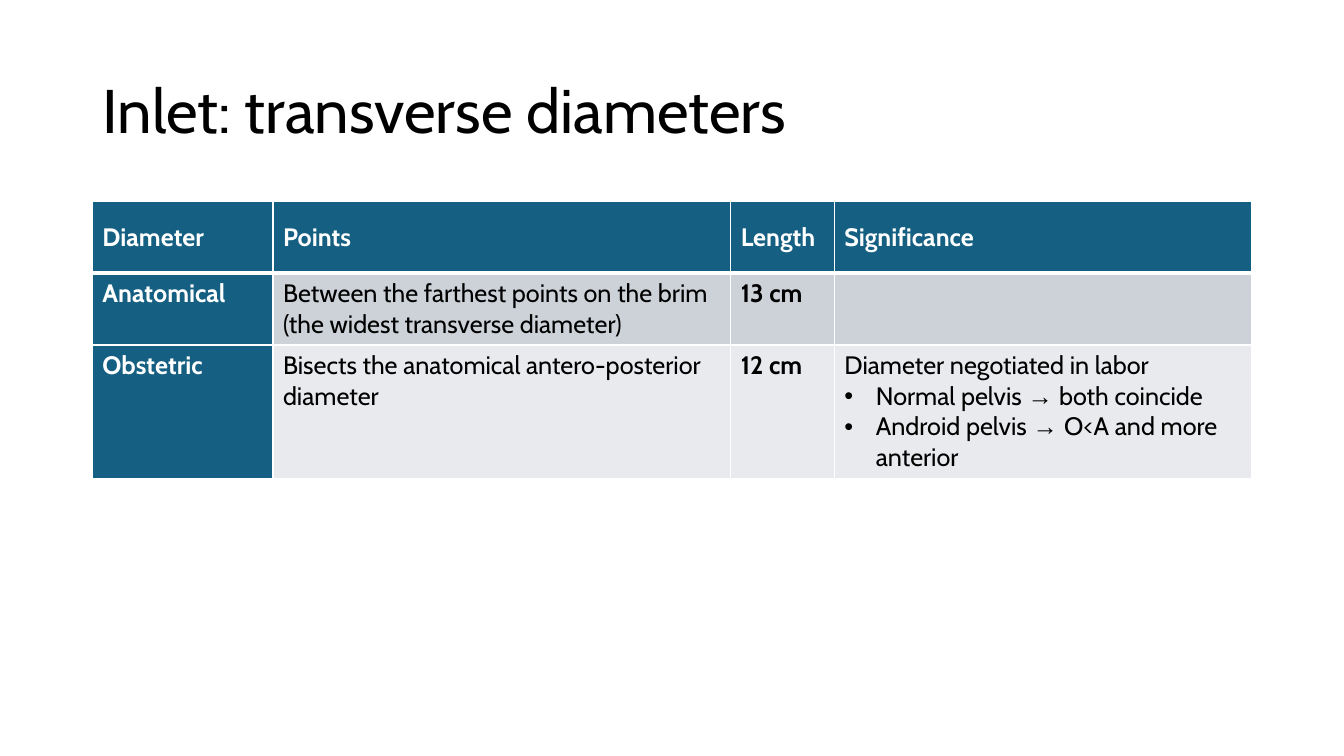
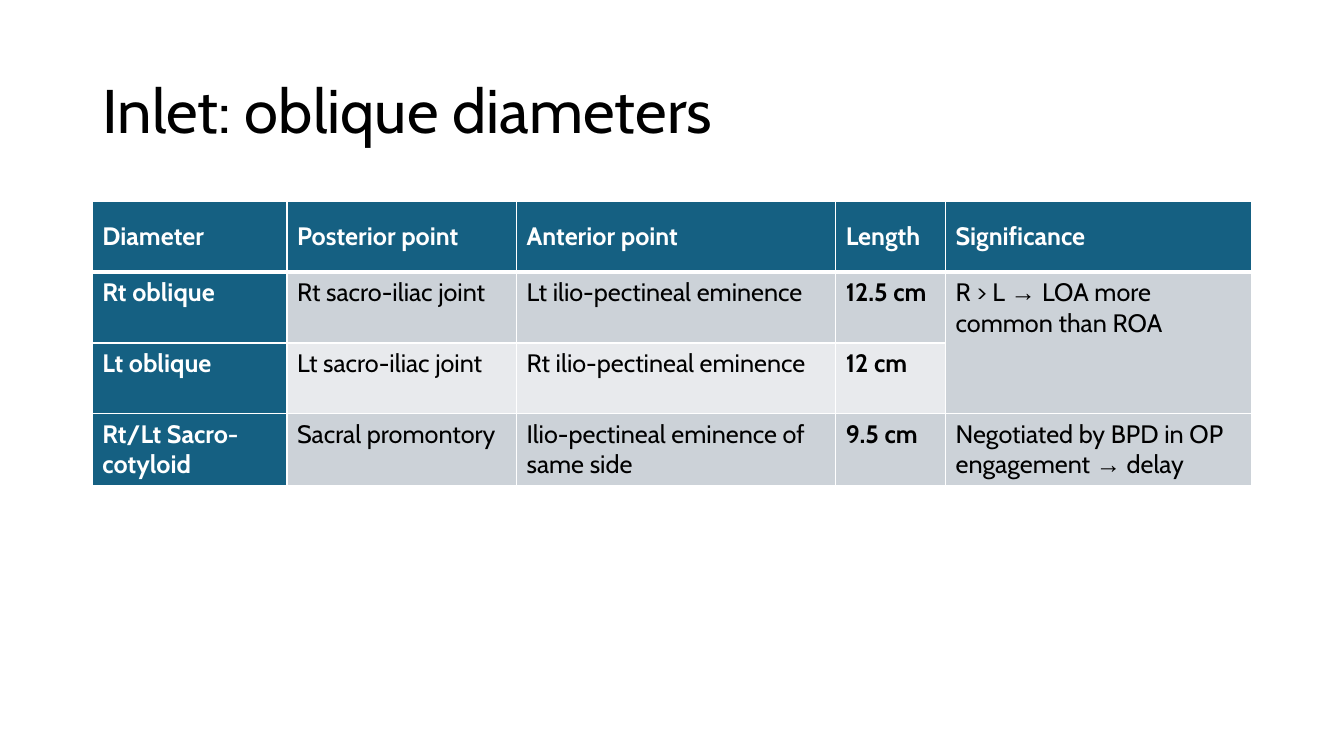
from pptx import Presentation
from pptx.dml.color import RGBColor
from pptx.enum.text import MSO_ANCHOR, PP_ALIGN
from pptx.oxml import parse_xml
from pptx.oxml.ns import nsdecls
from pptx.util import Pt

HUES = {"head": "156082", "dark": "CCD2D8", "light": "E8EAED",
        "white": "FFFFFF", "black": "000000"}
FONT, ARROW_FONT = "Cabin", "Times New Roman"
LEFT, WIDTH, TOP = 66, 828, 144
BULLET = "• "

# A cell is a list of paragraphs, and a paragraph is a list of runs.
SLIDES = [
    {
        "title": "Inlet: transverse diameters",
        "cols": [129, 327, 74, 298],
        "rows": [51, 51.5, 95],
        "cells": [
            ["Diameter", "Points", "Length", "Significance"],
            ["Anatomical",
             "Between the farthest points on the brim (the widest transverse diameter)",
             "13 cm", ""],
            ["Obstetric", "Bisects the anatomical antero-posterior diameter", "12 cm",
             [["Diameter negotiated in labor"],
              [BULLET, "Normal pelvis ", "→ ", "both coincide"],
              [BULLET, "Android pelvis ", "→ ", "O<A and more anterior"]]],
        ],
        "merges": [],
    },
    {
        "title": "Inlet: oblique diameters",
        "cols": [139, 164, 228, 78.5, 218.5],
        "rows": [50.5] * 4,
        "cells": [
            ["Diameter", "Posterior point", "Anterior point", "Length", "Significance"],
            ["Rt oblique", "Rt sacro-iliac joint", "Lt ilio-pectineal eminence",
             "12.5 cm", [["R > L ", "→ ", "LOA more common than ROA"]]],
            ["Lt oblique", "Lt sacro-iliac joint", "Rt ilio-pectineal eminence",
             "12 cm", ""],
            ["Rt/Lt Sacro-cotyloid", "Sacral promontory",
             "Ilio-pectineal eminence of same side", "9.5 cm",
             [["Negotiated by BPD in OP engagement ", "→", " delay"]]],
        ],
        "merges": [((1, 4), (2, 4))],
    },
]


def add_run(para, text, size, hue, bold=False):
    run = para.add_run()
    run.text = text
    font = run.font
    font.name = ARROW_FONT if text.startswith("→") else FONT
    font.size, font.bold = Pt(size), bold
    font.color.rgb = RGBColor.from_string(HUES[hue])


def add_title(slide, text):
    title = slide.shapes.title
    title.left, title.top = Pt(LEFT), Pt(28.75)
    title.width, title.height = Pt(WIDTH), Pt(104.4)
    frame = title.text_frame
    frame.vertical_anchor = MSO_ANCHOR.MIDDLE
    para = frame.paragraphs[0]
    para.alignment, para.line_spacing = PP_ALIGN.LEFT, 0.9
    add_run(para, text, 44, "black")


def set_edges(cell, row):
    """Draw white borders, with a thick rule under the header row."""
    thick = {0: "B", 1: "T"}.get(row)
    for side in "LRTB":
        width = Pt(3 if side == thick else 1)
        cell._tc.get_or_add_tcPr().append(parse_xml(
            f'<a:ln{side} {nsdecls("a")} w="{width}"><a:solidFill>'
            f'<a:srgbClr val="{HUES["white"]}"/></a:solidFill></a:ln{side}>'))


def set_bullet(para):
    props = para._p.get_or_add_pPr()
    props.set("marL", str(Pt(22.5)))
    props.set("indent", str(Pt(-22.5)))
    props.append(parse_xml(f'<a:buFont {nsdecls("a")} typeface="Arial"/>'))
    props.append(parse_xml(f'<a:buChar {nsdecls("a")} char="{BULLET.strip()}"/>'))


def fill_cell(cell, content, row, head, bold):
    set_edges(cell, row)
    shade = "head" if head else "dark" if row % 2 else "light"
    cell.fill.solid()
    cell.fill.fore_color.rgb = RGBColor.from_string(HUES[shade])
    cell.vertical_anchor = MSO_ANCHOR.TOP if row else MSO_ANCHOR.MIDDLE
    paras = [[content]] if isinstance(content, str) else content
    frame = cell.text_frame
    for num, runs in enumerate(paras):
        para = frame.add_paragraph() if num else frame.paragraphs[0]
        if runs[0] == BULLET:
            set_bullet(para)
            runs = runs[1:]
        for text in filter(None, runs):
            add_run(para, text, 18, "white" if head else "black", bold)


def add_grid(slide, data):
    cells, cols, rows = data["cells"], data["cols"], data["rows"]
    table = slide.shapes.add_table(len(rows), len(cols), Pt(LEFT), Pt(TOP),
                                   Pt(WIDTH), Pt(sum(rows))).table
    for col, width in zip(table.columns, cols):
        col.width = Pt(width)
    for row, height in zip(table.rows, rows):
        row.height = Pt(height)
    for start, end in data["merges"]:
        table.cell(*start).merge(table.cell(*end))
    length = cells[0].index("Length")
    for r, line in enumerate(cells):
        for c, content in enumerate(line):
            head = r == 0 or c == 0
            fill_cell(table.cell(r, c), content, r, head, head or c == length)


def main():
    deck = Presentation()
    deck.slide_width, deck.slide_height = Pt(960), Pt(540)
    for data in SLIDES:
        slide = deck.slides.add_slide(deck.slide_layouts[5])
        add_title(slide, data["title"])
        add_grid(slide, data)
    deck.save("out.pptx")


if __name__ == "__main__":
    main()
